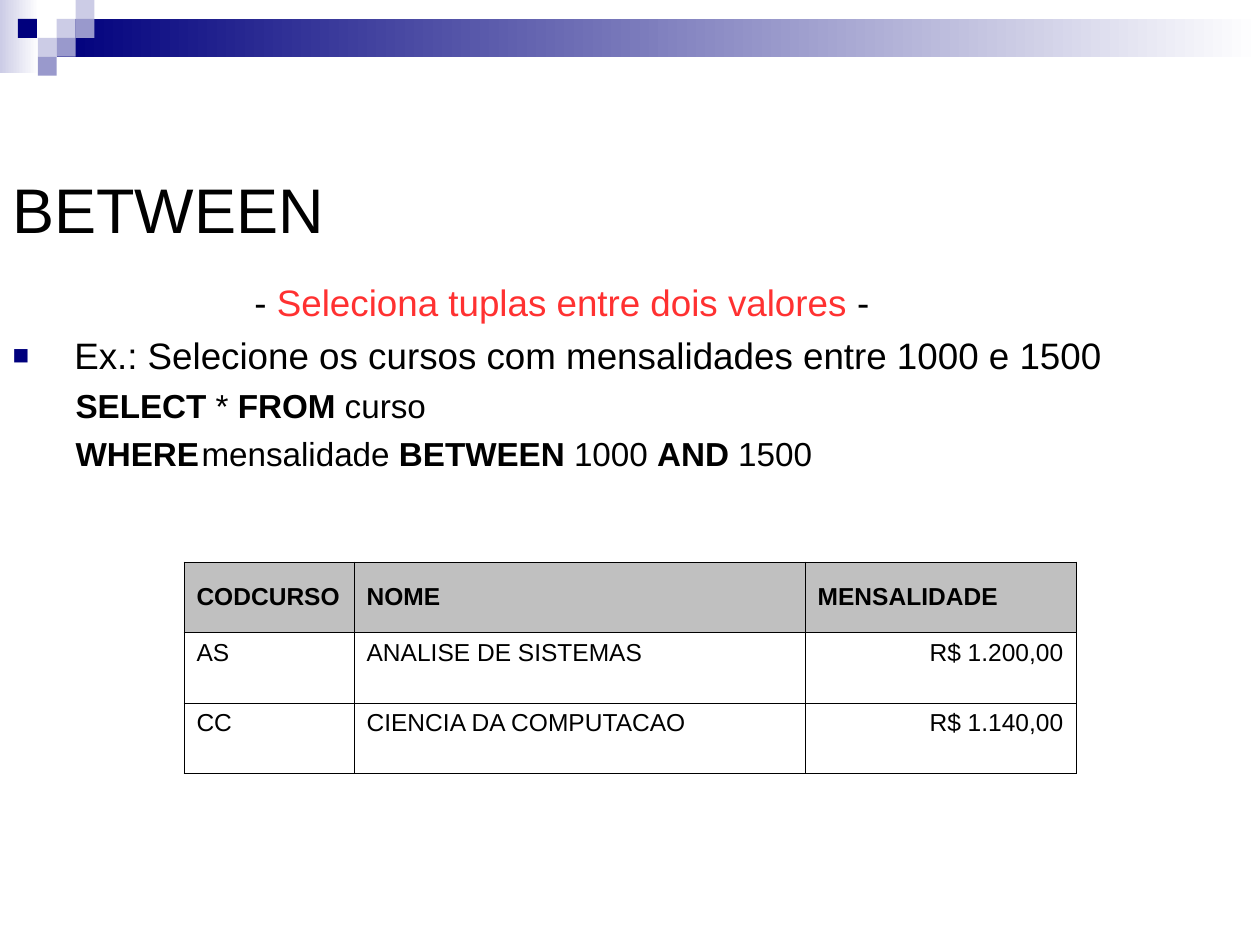
from dataclasses import dataclass

from lxml.etree import SubElement
from pptx import Presentation
from pptx.dml.color import RGBColor
from pptx.enum.shapes import MSO_SHAPE
from pptx.enum.text import MSO_ANCHOR, MSO_AUTO_SIZE, PP_ALIGN
from pptx.oxml.ns import qn
from pptx.util import Inches, Pt


@dataclass(frozen=True)
class Theme:
    font: str = "Arial"
    text: str = "000000"
    accent: str = "FF3131"
    navy: str = "00007D"
    violet: str = "9999CC"
    pale: str = "CCCCE6"
    white: str = "FFFFFF"
    header: str = "C0C0C0"
    title_size: int = 36
    body_size: int = 21
    code_size: int = 19
    table_size: int = 14


THEME = Theme()

# Content
TITLE = "BETWEEN"
SUBTITLE = [("- ", THEME.text), ("Seleciona tuplas entre dois valores", THEME.accent),
            (" - ", THEME.text)]
EXAMPLE = "Ex.: Selecione os cursos com mensalidades entre 1000 e 1500"
# Each code run: text, bold
CODE = [
    [("\t", False), ("SELECT", True), (" * ", False), ("FROM", True), (" curso", False)],
    [("\t", False), ("WHERE", True), ("\tmensalidade ", False), ("BETWEEN", True),
     (" 1000 ", False), ("AND ", True), ("1500", False)],
]
COURSES = [
    ("CODCURSO", "NOME", "MENSALIDADE"),
    ("AS", "ANALISE DE SISTEMAS", "R$ 1.200,00"),
    ("CC", "CIENCIA DA COMPUTACAO", "R$ 1.140,00"),
]

# Layout, in inches
SLIDE_WIDTH, SLIDE_HEIGHT = 10, 7.5
TITLE_BOX = (0, 0.5, 0.9 * SLIDE_WIDTH, 1.5)
BODY_BOX = (0, 2.17, 0.9 * SLIDE_WIDTH, 2.14)
INDENT = 0.49
CODE_TABS = (INDENT, 1.76)
TABLE_LEFT, TABLE_TOP, ROW_HEIGHT = 1.46, 4.46, 0.56
COLUMN_WIDTHS = (1.35, 3.58, 2.15)
UNIT = 0.15
# Squares on a grid of units: column, row, colour
SQUARES = [
    (3, 1, THEME.pale), (4, 0, THEME.pale), (4, 1, THEME.violet), (2, 2, THEME.pale),
    (0.95, 1, THEME.navy), (3, 2, THEME.violet), (2, 3, THEME.violet),
]


def color(value):
    return RGBColor.from_string(value)


def set_font(font, size, value=THEME.text, bold=False):
    font.name, font.size, font.bold = THEME.font, Pt(size), bold
    font.color.rgb = color(value)


def add_block(slide, left, top, width, height, start, end=None):
    shape = slide.shapes.add_shape(
        MSO_SHAPE.RECTANGLE, *(Inches(length) for length in (left, top, width, height)))
    shape.shadow.inherit = False
    shape.line.fill.background()
    if end is None:
        shape.fill.solid()
        shape.fill.fore_color.rgb = color(start)
        return
    shape.fill.gradient()
    shape.fill.gradient_angle = 0
    for stop, value in zip(shape.fill.gradient_stops, (start, end)):
        stop.color.rgb = color(value)


def place(placeholder, box, anchor):
    placeholder.left, placeholder.top, placeholder.width, placeholder.height = map(Inches, box)
    frame = placeholder.text_frame
    frame.word_wrap = True
    frame.auto_size = MSO_AUTO_SIZE.NONE
    frame.vertical_anchor = anchor
    return frame


def format_paragraph(paragraph, size, before, bullet=False, tabs=()):
    properties = paragraph._p.get_or_add_pPr()
    properties.set("marL", str(Inches(INDENT if bullet else 0)))
    properties.set("indent", str(Inches(-INDENT if bullet else 0)))
    if bullet:
        bullet_color = SubElement(properties, qn("a:buClr"))
        SubElement(bullet_color, qn("a:srgbClr"), val=THEME.navy)
        SubElement(properties, qn("a:buSzPct"), val="75000")
        SubElement(properties, qn("a:buFont"), typeface=THEME.font)
        SubElement(properties, qn("a:buChar"), char="■")
    else:
        SubElement(properties, qn("a:buNone"))
    if tabs:
        tab_list = SubElement(properties, qn("a:tabLst"))
        for position in tabs:
            SubElement(tab_list, qn("a:tab"), pos=str(Inches(position)), algn="l")
    paragraph.space_before = Pt(before)
    set_font(paragraph.font, size)


def add_borders(cell):
    properties = cell._tc.get_or_add_tcPr()
    for side in ("lnL", "lnR", "lnT", "lnB"):
        line = SubElement(properties, qn(f"a:{side}"), w=str(Pt(0.34)))
        SubElement(SubElement(line, qn("a:solidFill")), qn("a:srgbClr"), val=THEME.text)


def add_decoration(slide):
    add_block(slide, 0, 0, 0.31, 0.58, THEME.pale, THEME.white)
    add_block(slide, 3 * UNIT, UNIT, SLIDE_WIDTH - 3 * UNIT, 2 * UNIT, THEME.navy, THEME.white)
    for column, row, value in SQUARES:
        add_block(slide, column * UNIT, row * UNIT, UNIT, UNIT, value)


def fill_body(frame):
    subtitle = frame.paragraphs[0]
    format_paragraph(subtitle, THEME.body_size, 0)
    subtitle.alignment = PP_ALIGN.CENTER
    for text, value in SUBTITLE:
        run = subtitle.add_run()
        run.text = text
        run.font.color.rgb = color(value)

    example = frame.add_paragraph()
    example.text = EXAMPLE
    format_paragraph(example, THEME.body_size, 5.2, bullet=True)

    for runs in CODE:
        paragraph = frame.add_paragraph()
        format_paragraph(paragraph, THEME.code_size, 4.8, tabs=CODE_TABS)
        for text, bold in runs:
            run = paragraph.add_run()
            run.text = text
            run.font.bold = bold


def add_courses(slide):
    table = slide.shapes.add_table(
        len(COURSES), len(COLUMN_WIDTHS), Inches(TABLE_LEFT), Inches(TABLE_TOP),
        Inches(sum(COLUMN_WIDTHS)), Inches(ROW_HEIGHT * len(COURSES))).table
    table.first_row = table.horz_banding = False
    for column, width in zip(table.columns, COLUMN_WIDTHS):
        column.width = Inches(width)
    for row_index, values in enumerate(COURSES):
        is_header = row_index == 0
        for column_index, value in enumerate(values):
            cell = table.cell(row_index, column_index)
            cell.text = value
            cell.vertical_anchor = MSO_ANCHOR.MIDDLE if is_header else MSO_ANCHOR.TOP
            add_borders(cell)
            cell.fill.solid()
            cell.fill.fore_color.rgb = color(THEME.header if is_header else THEME.white)
            paragraph = cell.text_frame.paragraphs[0]
            is_price = column_index == 2 and not is_header
            paragraph.alignment = PP_ALIGN.RIGHT if is_price else PP_ALIGN.LEFT
            set_font(paragraph.font, THEME.table_size, bold=is_header)


def main():
    presentation = Presentation()
    presentation.slide_width = Inches(SLIDE_WIDTH)
    presentation.slide_height = Inches(SLIDE_HEIGHT)
    slide = presentation.slides.add_slide(presentation.slide_layouts[1])
    add_decoration(slide)

    # Title and body
    title = place(slide.shapes.title, TITLE_BOX, MSO_ANCHOR.BOTTOM).paragraphs[0]
    title.text = TITLE
    title.alignment = PP_ALIGN.LEFT
    set_font(title.font, THEME.title_size)
    fill_body(place(slide.placeholders[1], BODY_BOX, MSO_ANCHOR.TOP))

    add_courses(slide)
    presentation.save("out.pptx")


if __name__ == "__main__":
    main()
